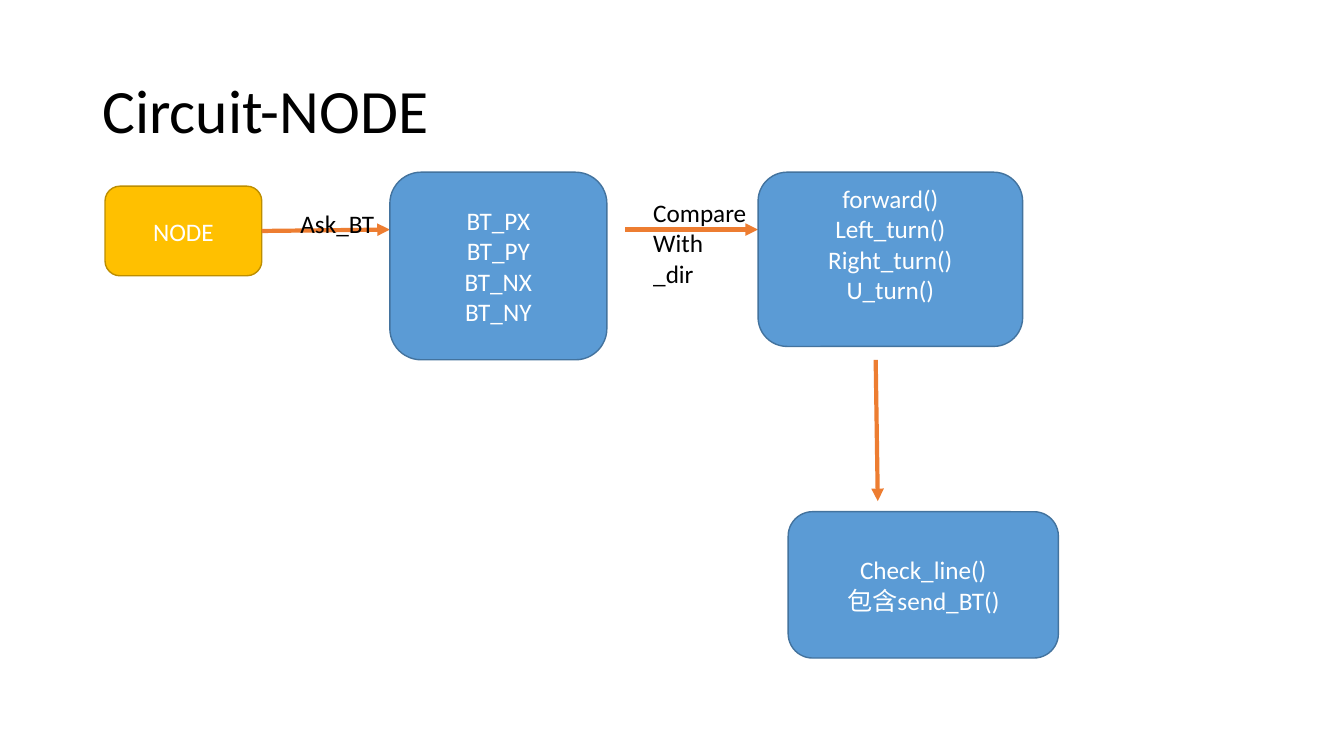
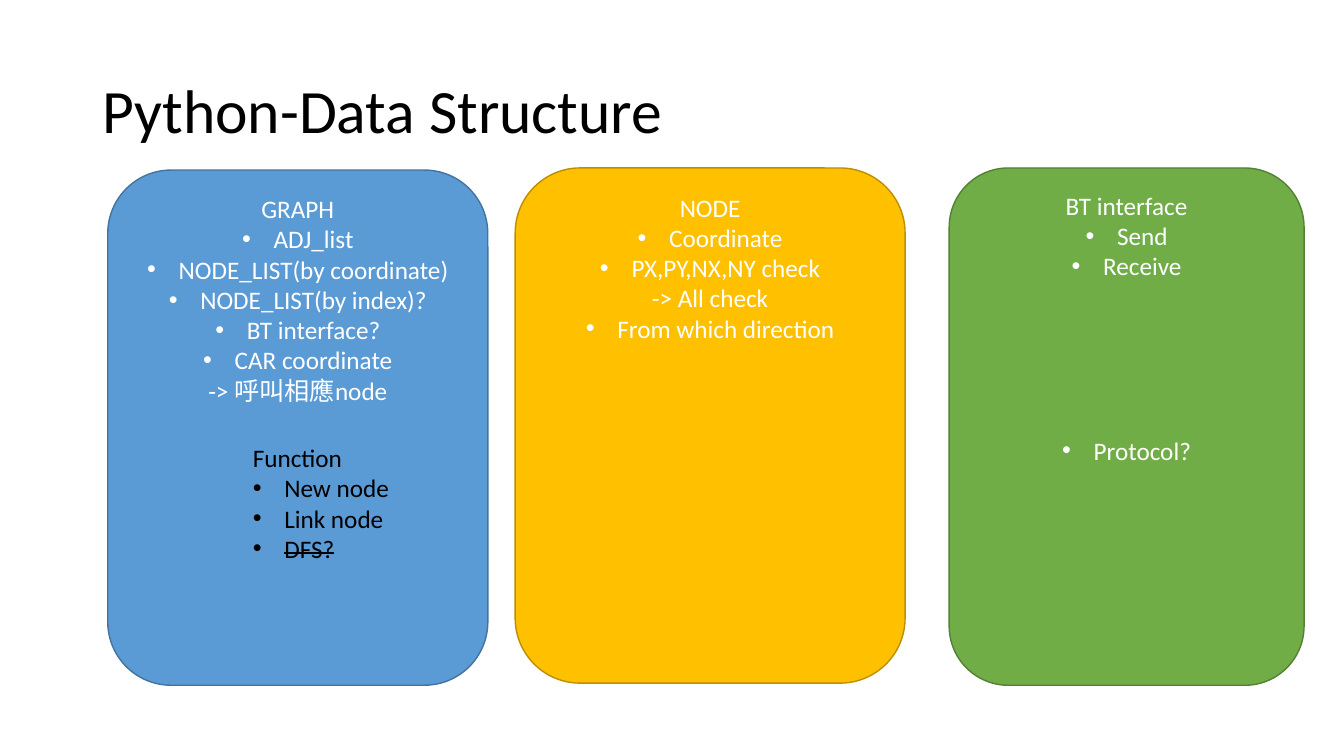
import dataclasses

import lxml.etree
import pptx
import pptx.dml.color
import pptx.enum.shapes
import pptx.enum.text
import pptx.oxml.ns
import pptx.util

Pt = pptx.util.Pt
Align = pptx.enum.text.PP_ALIGN
Anchor = pptx.enum.text.MSO_ANCHOR

BLUE = ("5B9BD5", "43739E")
GOLD = ("FFC000", "BD8E00")
GREEN = ("70AD47", "538035")
LINE_HEIGHT = 22


@dataclasses.dataclass
class Line:
    text: str
    bullet: bool = False
    struck: bool = False
    gap: float = 0


def bullet(text, **options):
    return Line(text, bullet=True, **options)


def rgb(value):
    return pptx.dml.color.RGBColor.from_string(value)


def add_xml(parent, tag, **attributes):
    return lxml.etree.SubElement(parent, pptx.oxml.ns.qn(tag), attributes)


class Deck:
    font = "Calibri"
    ink = "000000"
    paper = "FFFFFF"
    arrow_colour = "ED7D31"
    body_size = 18
    title_size = 44
    indent = 22.5

    def __init__(self):
        self.presentation = pptx.Presentation()
        self.presentation.slide_width = Pt(960)
        self.presentation.slide_height = Pt(540)
        self.slide = None

    def start(self, title):
        self.slide = self.presentation.slides.add_slide(self.presentation.slide_layouts[6])
        heading = self.slide.shapes.add_textbox(Pt(66), Pt(28.8), Pt(828), Pt(104.4)).text_frame
        heading.word_wrap = True
        heading.vertical_anchor = Anchor.MIDDLE
        self.set_lines(heading, [title], self.ink, Align.LEFT, self.title_size)
        heading.paragraphs[0].line_spacing = 0.9

    def set_lines(self, frame, lines, colour, align, size=body_size):
        for index, line in enumerate(lines):
            if isinstance(line, str):
                line = Line(line)
            paragraph = frame.add_paragraph() if index else frame.paragraphs[0]
            run = paragraph.add_run()
            run.text = line.text
            paragraph.alignment = align
            if line.gap:
                paragraph.space_before = Pt(line.gap)
            if line.bullet:
                properties = paragraph._p.get_or_add_pPr()
                properties.set("marL", str(Pt(self.indent)))
                properties.set("indent", str(-Pt(self.indent)))
                add_xml(properties, "a:buFont", typeface="Arial")
                add_xml(properties, "a:buChar", char="•")
            paragraph.font.name = self.font
            paragraph.font.size = Pt(size)
            paragraph.font.color.rgb = rgb(colour)
            if line.struck:
                run._r.get_or_add_rPr().set("strike", "sngStrike")

    def box(self, left, top, width, height, colours, lines, anchor=Anchor.MIDDLE, bottom_inset=3.6):
        shape = self.slide.shapes.add_shape(
            pptx.enum.shapes.MSO_SHAPE.ROUNDED_RECTANGLE, Pt(left), Pt(top), Pt(width), Pt(height))
        fill, outline = colours
        shape.shadow.inherit = False
        shape.fill.solid()
        shape.fill.fore_color.rgb = rgb(fill)
        shape.line.color.rgb = rgb(outline)
        shape.line.width = Pt(1)
        frame = shape.text_frame
        frame.word_wrap = True
        frame.vertical_anchor = anchor
        frame.margin_bottom = Pt(bottom_inset)
        self.set_lines(frame, lines, self.paper, Align.CENTER)
        return shape

    def label(self, left, top, width, height, lines):
        frame = self.slide.shapes.add_textbox(Pt(left), Pt(top), Pt(width), Pt(height)).text_frame
        frame.word_wrap = False
        frame.auto_size = pptx.enum.text.MSO_AUTO_SIZE.SHAPE_TO_FIT_TEXT
        self.set_lines(frame, lines, self.ink, Align.LEFT)

    def arrow(self, x1, y1, x2, y2):
        connector = self.slide.shapes.add_connector(
            pptx.enum.shapes.MSO_CONNECTOR.STRAIGHT, Pt(x1), Pt(y1), Pt(x2), Pt(y2))
        connector.line.color.rgb = rgb(self.arrow_colour)
        connector.line.width = Pt(3)
        add_xml(connector.line._get_or_add_ln(), "a:tailEnd", type="triangle")
        add_xml(connector._element.spPr, "a:effectLst")
        return connector


def node_flow(deck):
    deck.start("Circuit-NODE")
    node = deck.box(75, 133, 112, 64, GOLD, ["NODE"])
    deck.arrow(187, 165, 278.5, 164).begin_connect(node, 3)
    deck.label(207.5, 145, 68, 29, ["Ask_BT"])
    deck.box(278.5, 123, 155, 134, BLUE, ["BT_PX", "BT_PY", "BT_NX", "BT_NY"])
    deck.arrow(446.5, 164, 541.5, 164)
    deck.label(459.5, 137.5, 82, 73, ["Compare", "With", "_dir"])
    deck.box(541.5, 123, 189, 124.5, BLUE,
             ["forward()", "Left_turn()", "Right_turn()", "U_turn()"],
             bottom_inset=3.6 + LINE_HEIGHT)
    deck.arrow(625.5, 257, 627, 358)
    deck.box(563, 365.5, 193, 104.5, BLUE, ["Check_line()", "包含send_BT()"])


def data_structure(deck):
    deck.start("Python-Data Structure")
    deck.box(77, 121.5, 271.5, 368, BLUE, [
        "GRAPH",
        bullet("ADJ_list"),
        bullet("NODE_LIST(by coordinate)"),
        bullet("NODE_LIST(by index)?"),
        bullet("BT interface?"),
        bullet("CAR coordinate"),
        "-> 呼叫相應node",
    ], Anchor.TOP)
    deck.box(368, 120, 278.5, 368, GOLD, [
        "NODE",
        bullet("Coordinate"),
        bullet("PX,PY,NX,NY check"),
        "-> All check",
        bullet("From which direction"),
    ], Anchor.TOP)
    deck.label(173.5, 312.5, 113, 116.5, [
        "Function",
        bullet("New node"),
        bullet("Link node"),
        bullet("DFS?", struck=True),
    ])
    deck.box(678, 120, 253.5, 369.5, GREEN, [
        "BT interface",
        bullet("Send"),
        bullet("Receive"),
        bullet("Protocol?", gap=5 * LINE_HEIGHT),
    ], Anchor.TOP)


def main():
    deck = Deck()
    node_flow(deck)
    data_structure(deck)
    deck.presentation.save("out.pptx")


if __name__ == "__main__":
    main()
